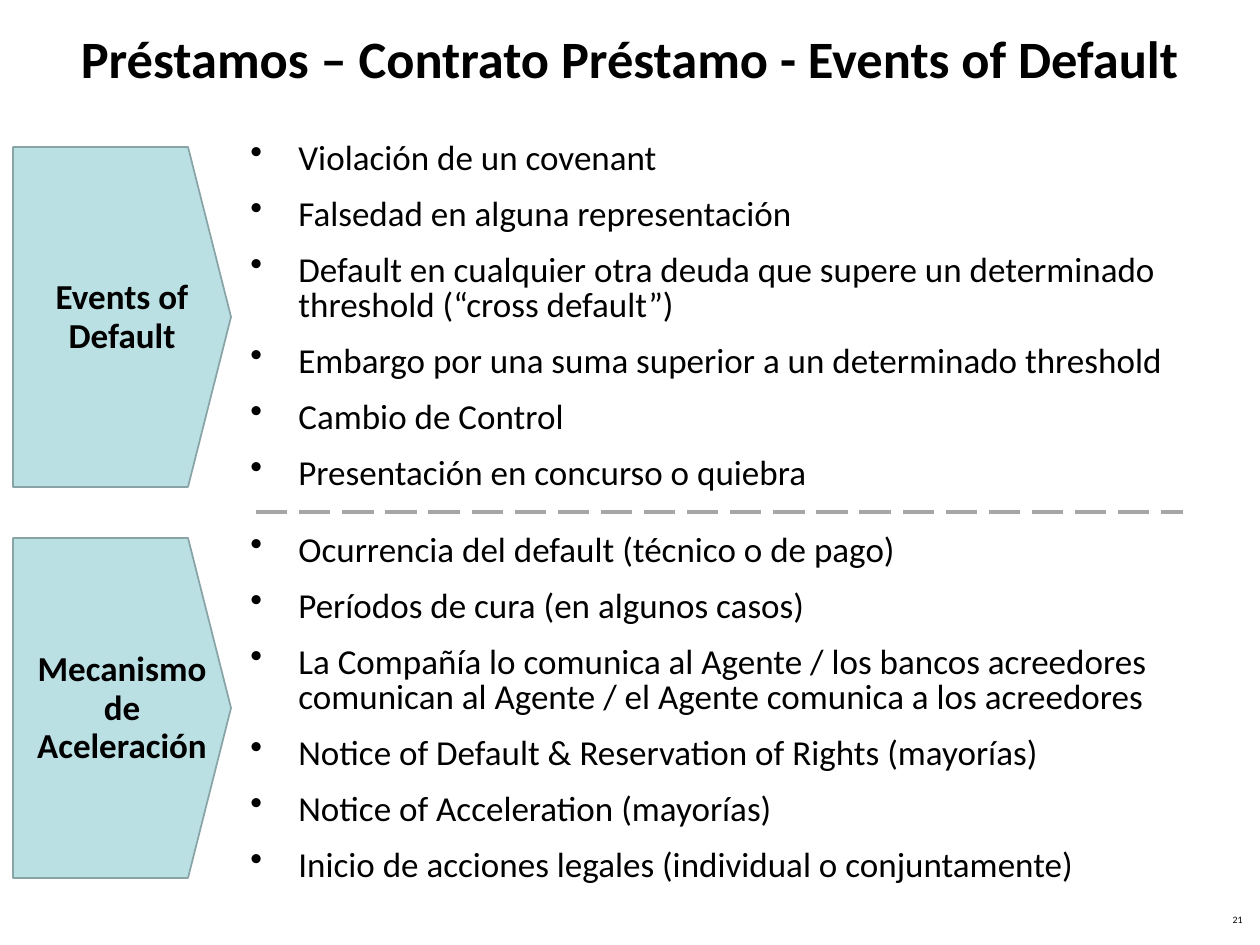
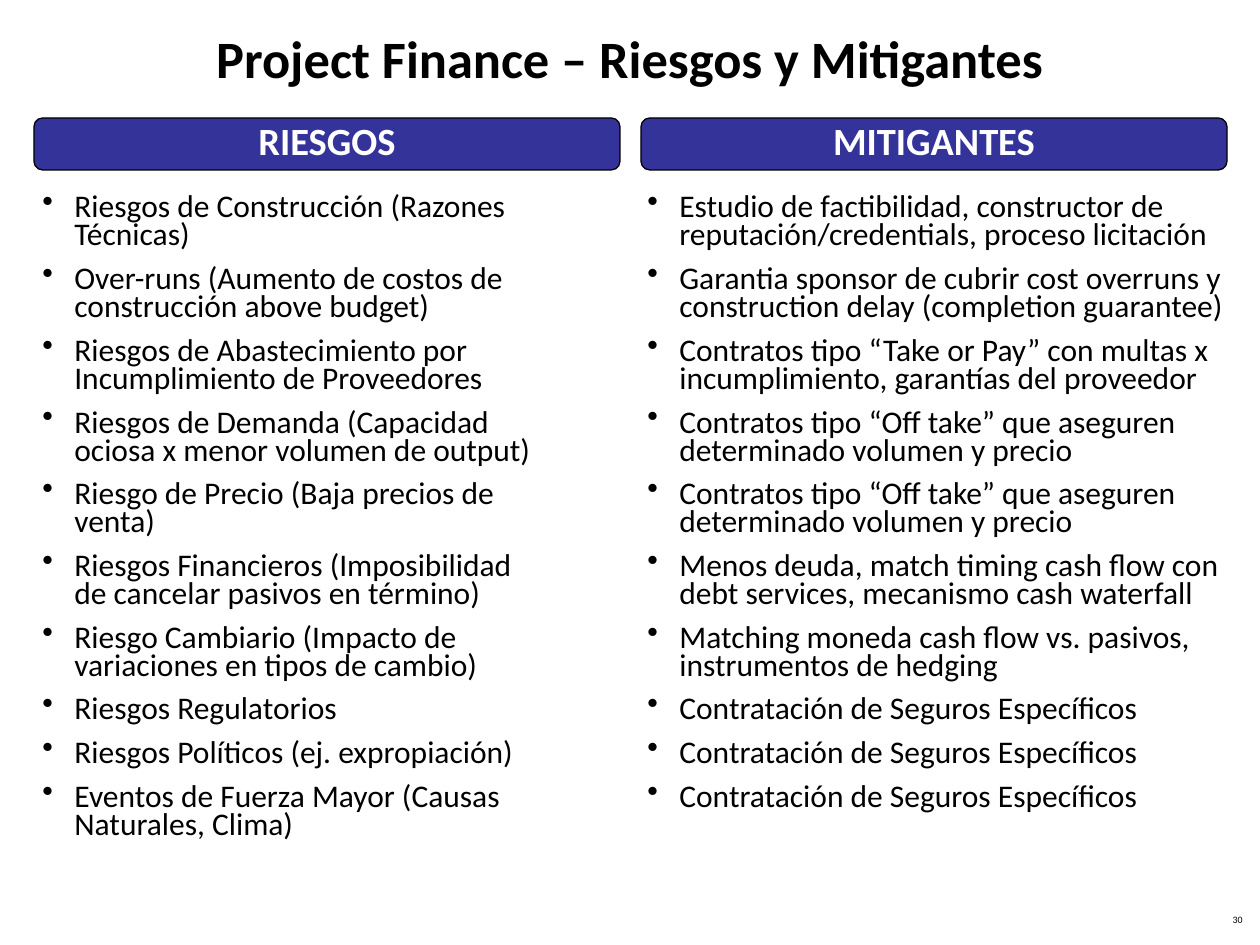
from dataclasses import dataclass

from lxml.etree import SubElement
from pptx import Presentation
from pptx.dml.color import RGBColor
from pptx.enum.dml import MSO_LINE
from pptx.enum.shapes import MSO_CONNECTOR, MSO_SHAPE
from pptx.enum.text import MSO_ANCHOR, PP_ALIGN
from pptx.oxml.ns import qn
from pptx.util import Emu, Length, Pt

EMU_PER_PX = 914400 / 126


def px(count: int) -> Emu:
    return Emu(round(count * EMU_PER_PX))


# Shared look
@dataclass(frozen=True)
class Theme:
    font: str = "Calibri"
    text: str = "000000"
    inverse: str = "FFFFFF"
    stage_fill: str = "BBE0E3"
    stage_line: str = "89A4A7"
    header_fill: str = "333399"
    divider: str = "A6A6A6"
    title_size: float = 30
    header_size: float = 22
    stage_size: float = 20
    number_size: float = 5.6


THEME = Theme()


@dataclass(frozen=True)
class Area:
    left: int
    top: int
    width: int
    height: int

    def emu(self) -> tuple:
        return px(self.left), px(self.top), px(self.width), px(self.height)


@dataclass(frozen=True)
class TextStyle:
    size: float
    color: str = THEME.text
    bold: bool = False
    align: PP_ALIGN = PP_ALIGN.LEFT
    spacing: Length | float | None = None


@dataclass(frozen=True)
class BulletStyle:
    text: TextStyle
    indent: int
    space_before: float


@dataclass(frozen=True)
class Stage:
    label: str
    top: int
    items: tuple[str, ...]


@dataclass(frozen=True)
class Column:
    heading: str
    header_left: int
    list_left: int
    list_width: int
    items: tuple[str, ...]


TITLE = TextStyle(THEME.title_size, bold=True, align=PP_ALIGN.CENTER)
NUMBER = TextStyle(THEME.number_size, align=PP_ALIGN.RIGHT, spacing=0.8)
HEADER = TextStyle(THEME.header_size, THEME.inverse, True, PP_ALIGN.CENTER, 0.8)
STAGE = TextStyle(THEME.stage_size, bold=True, align=PP_ALIGN.CENTER, spacing=Pt(22))
STAGE_BULLETS = BulletStyle(TextStyle(20, spacing=Pt(20)), 48, 12)
COLUMN_BULLETS = BulletStyle(TextStyle(18, spacing=Pt(16)), 32, 9)

TITLE_AREA = Area(0, 0, 1260, 115)
NUMBER_AREA = Area(961, 910, 294, 26)
STAGE_LIST_AREA = Area(238, 136, 982, 713)
STAGE_LEFT, STAGE_WIDTH, STAGE_HEIGHT, STAGE_SHOULDER = 13, 218, 340, 175
DIVIDER_LEFT, DIVIDER_RIGHT, DIVIDER_TOP = 256, 1183, 512
HEADER_TOP, HEADER_WIDTH, HEADER_HEIGHT = 118, 586, 52
LIST_TOP, LIST_HEIGHT = 190, 699

STAGES = (
    Stage("Events of Default", 147, (
        "Violación de un covenant",
        "Falsedad en alguna representación",
        "Default en cualquier otra deuda que supere un determinado "
        "threshold (“cross default”)",
        "Embargo por una suma superior a un determinado threshold",
        "Cambio de Control",
        "Presentación en concurso o quiebra",
    )),
    Stage("Mecanismo de Aceleración", 538, (
        "Ocurrencia del default (técnico o de pago)",
        "Períodos de cura (en algunos casos)",
        "La Compañía lo comunica al Agente / los bancos acreedores "
        "comunican al Agente / el Agente comunica a los acreedores",
        "Notice of Default & Reservation of Rights (mayorías)",
        "Notice of Acceleration (mayorías)",
        "Inicio de acciones legales (individual o conjuntamente)",
    )),
)

OFF_TAKE = "Contratos tipo “Off take” que aseguren determinado volumen y precio"
INSURANCE = "Contratación de Seguros Específicos"
COLUMNS = (
    Column("RIESGOS", 34, 30, 529, (
        "Riesgos de Construcción (Razones Técnicas)",
        "Over-runs (Aumento de costos de construcción above budget)",
        "Riesgos de Abastecimiento por Incumplimiento de Proveedores",
        "Riesgos de Demanda (Capacidad ociosa x menor volumen de output)",
        "Riesgo de Precio (Baja precios de venta)",
        "Riesgos Financieros (Imposibilidad de cancelar pasivos en término)",
        "Riesgo Cambiario (Impacto de variaciones en tipos de cambio)",
        "Riesgos Regulatorios",
        "Riesgos Políticos (ej. expropiación)",
        "Eventos de Fuerza Mayor (Causas Naturales, Clima)",
    )),
    Column("MITIGANTES", 641, 635, 605, (
        "Estudio de factibilidad, constructor de reputación/credentials, "
        "proceso licitación",
        "Garantia sponsor de cubrir cost overruns y construction delay "
        "(completion guarantee)",
        "Contratos tipo “Take or Pay” con multas x incumplimiento, "
        "garantías del proveedor",
        OFF_TAKE,
        OFF_TAKE,
        "Menos deuda, match timing cash flow con debt services, "
        "mecanismo cash waterfall",
        "Matching moneda cash flow vs. pasivos, instrumentos de hedging",
        INSURANCE,
        INSURANCE,
        INSURANCE,
    )),
)


# Text
def write(para, text: str, style: TextStyle) -> None:
    para.alignment = style.align
    para.line_spacing = style.spacing
    span = para.add_run()
    span.text = text
    span.font.name = THEME.font
    span.font.size = Pt(style.size)
    span.font.bold = style.bold
    span.font.color.rgb = RGBColor.from_string(style.color)


def add_text(page, area: Area, text: str, style: TextStyle,
             anchor: MSO_ANCHOR = MSO_ANCHOR.TOP) -> None:
    frame = page.shapes.add_textbox(*area.emu()).text_frame
    frame.word_wrap = True
    frame.vertical_anchor = anchor
    write(frame.paragraphs[0], text, style)


def set_bullet(para, indent: int) -> None:
    properties = para._p.get_or_add_pPr()
    properties.set("marL", str(px(indent)))
    properties.set("indent", str(px(-indent)))
    color = SubElement(properties, qn("a:buClr"))
    SubElement(color, qn("a:srgbClr"), val=THEME.text)
    SubElement(properties, qn("a:buChar"), char="•")


def add_bullets(page, area: Area, groups: list[tuple[str, ...]], style: BulletStyle) -> None:
    """List every group in one box; a later group starts after a double gap."""
    frame = page.shapes.add_textbox(*area.emu()).text_frame
    frame.word_wrap = True
    for group_index, group in enumerate(groups):
        for index, item in enumerate(group):
            first = group_index == 0 and index == 0
            para = frame.paragraphs[0] if first else frame.add_paragraph()
            write(para, item, style.text)
            opens_later_group = group_index > 0 and index == 0
            para.space_before = Pt(style.space_before * (2 if opens_later_group else 1))
            set_bullet(para, style.indent)


# Shapes
def finish_shape(shape, fill: str, line: str, line_width: float,
                 text: str, style: TextStyle) -> None:
    shape.shadow.inherit = False
    shape.fill.solid()
    shape.fill.fore_color.rgb = RGBColor.from_string(fill)
    shape.line.color.rgb = RGBColor.from_string(line)
    shape.line.width = Pt(line_width)
    frame = shape.text_frame
    frame.word_wrap = True
    frame.vertical_anchor = MSO_ANCHOR.MIDDLE
    write(frame.paragraphs[0], text, style)


def add_stage(page, stage: Stage) -> None:
    shoulder = STAGE_LEFT + STAGE_SHOULDER
    bottom = stage.top + STAGE_HEIGHT
    corners = (
        (shoulder, stage.top),
        (STAGE_LEFT + STAGE_WIDTH, stage.top + STAGE_HEIGHT // 2),
        (shoulder, bottom),
        (STAGE_LEFT, bottom),
    )
    outline = page.shapes.build_freeform(px(STAGE_LEFT), px(stage.top))
    outline.add_line_segments([(px(x), px(y)) for x, y in corners], close=True)
    finish_shape(outline.convert_to_shape(), THEME.stage_fill, THEME.stage_line, 1,
                 stage.label, STAGE)


def add_divider(page) -> None:
    line = page.shapes.add_connector(MSO_CONNECTOR.STRAIGHT, px(DIVIDER_LEFT),
                                     px(DIVIDER_TOP), px(DIVIDER_RIGHT), px(DIVIDER_TOP))
    line.line.color.rgb = RGBColor.from_string(THEME.divider)
    line.line.width = Pt(2.25)
    line.line.dash_style = MSO_LINE.LONG_DASH
    SubElement(line._element.spPr, qn("a:effectLst"))


def add_column(page, column: Column) -> None:
    area = Area(column.header_left, HEADER_TOP, HEADER_WIDTH, HEADER_HEIGHT)
    header = page.shapes.add_shape(MSO_SHAPE.ROUNDED_RECTANGLE, *area.emu())
    finish_shape(header, THEME.header_fill, THEME.text, 0.75, column.heading, HEADER)
    list_area = Area(column.list_left, LIST_TOP, column.list_width, LIST_HEIGHT)
    add_bullets(page, list_area, [column.items], COLUMN_BULLETS)


# Pages
def add_page(deck, title: str, number: int):
    page = deck.slides.add_slide(deck.slide_layouts[6])
    add_text(page, NUMBER_AREA, str(number), NUMBER)
    add_text(page, TITLE_AREA, title, TITLE, MSO_ANCHOR.MIDDLE)
    return page


def add_default_page(deck) -> None:
    page = add_page(deck, "Préstamos – Contrato Préstamo - Events of Default", 21)
    add_bullets(page, STAGE_LIST_AREA, [stage.items for stage in STAGES], STAGE_BULLETS)
    add_divider(page)
    for stage in STAGES:
        add_stage(page, stage)


def add_risk_page(deck) -> None:
    page = add_page(deck, "Project Finance – Riesgos y Mitigantes", 30)
    for column in COLUMNS:
        add_column(page, column)


def main() -> None:
    deck = Presentation()
    deck.slide_width, deck.slide_height = px(1260), px(945)
    add_default_page(deck)
    add_risk_page(deck)
    deck.save("out.pptx")


if __name__ == "__main__":
    main()
